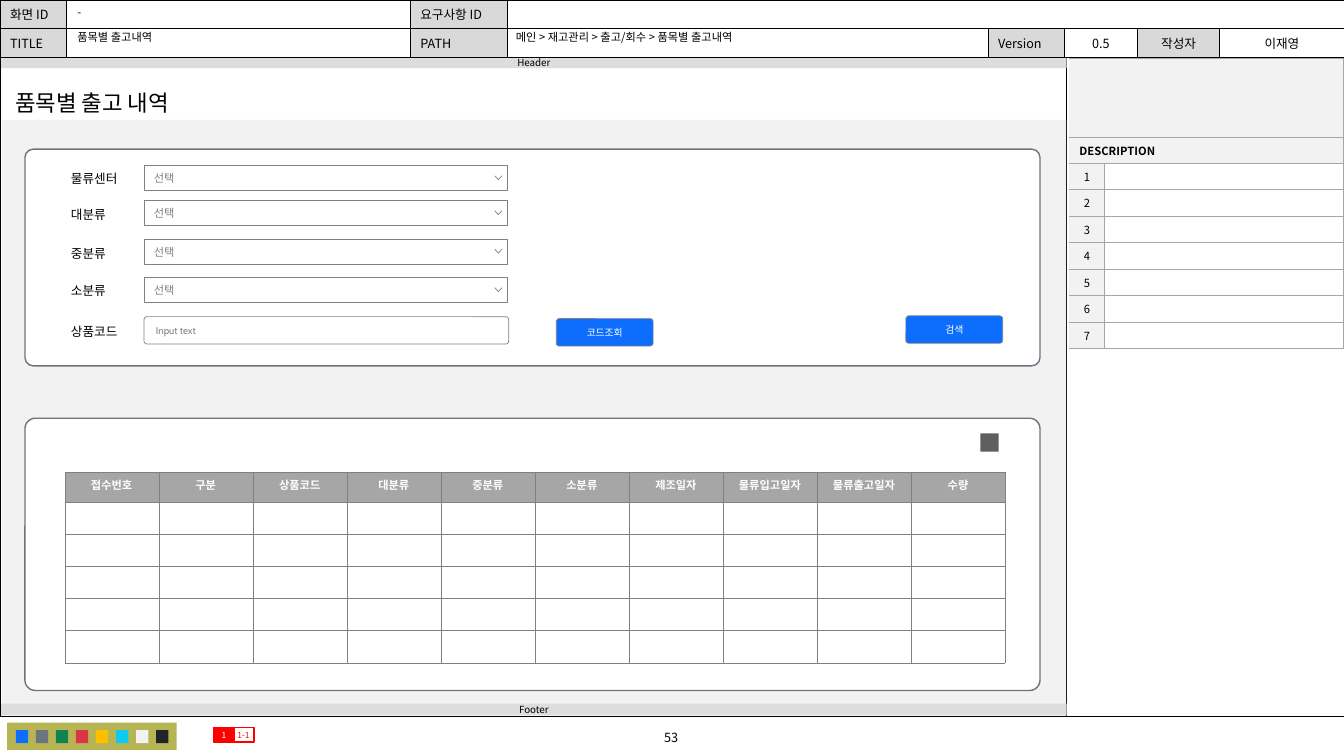
from lxml.etree import SubElement
from pptx import Presentation
from pptx.dml.color import RGBColor
from pptx.enum.shapes import MSO_CONNECTOR, MSO_SHAPE
from pptx.enum.text import MSO_ANCHOR, MSO_AUTO_SIZE, PP_ALIGN
from pptx.oxml.ns import qn
from pptx.util import Cm, Pt

BLACK = RGBColor(0x00, 0x00, 0x00)
WHITE = RGBColor(0xFF, 0xFF, 0xFF)
RED = RGBColor(0xFF, 0x00, 0x00)
BLUE = RGBColor(0x0D, 0x6E, 0xFD)
SLATE = RGBColor(0x6C, 0x75, 0x7D)
GREEN = RGBColor(0x10, 0x83, 0x4E)
CRIMSON = RGBColor(0xDC, 0x35, 0x45)
AMBER = RGBColor(0xFF, 0xBE, 0x00)
CYAN = RGBColor(0x0D, 0xCA, 0xF0)
INK = RGBColor(0x21, 0x25, 0x29)
OLIVE = RGBColor(0xB7, 0xB5, 0x53)
PANEL = RGBColor(0xF2, 0xF2, 0xF2)
BAR = RGBColor(0xDD, 0xDD, 0xDD)
LABEL = RGBColor(0xD9, 0xD9, 0xD9)
RULE = RGBColor(0xA6, 0xA6, 0xA6)
GRAY = RGBColor(0x80, 0x80, 0x80)
ICON = RGBColor(0x5F, 0x5F, 0x5F)

KOREAN = "Noto Sans CJK KR"
RECT, ROUND = MSO_SHAPE.RECTANGLE, MSO_SHAPE.ROUNDED_RECTANGLE


def write_text(frame, text, size=9, color=BLACK, font=KOREAN, bold=False, align=PP_ALIGN.LEFT,
               spacing=None, wrap=True, margins=(0.25, 0.13)):
    """Fill a text frame with one paragraph; margins are (sides, top and bottom) in cm."""
    frame.word_wrap = wrap
    frame.auto_size = MSO_AUTO_SIZE.NONE
    frame.vertical_anchor = MSO_ANCHOR.MIDDLE
    frame.margin_left = frame.margin_right = Cm(margins[0])
    frame.margin_top = frame.margin_bottom = Cm(margins[1])
    paragraph = frame.paragraphs[0]
    paragraph.alignment = align
    paragraph.line_spacing = spacing
    run = paragraph.add_run()
    run.text = text
    run.font.size, run.font.bold, run.font.name = Pt(size), bold, font
    run.font.color.rgb = color
    SubElement(run.font._element, qn("a:ea"), typeface=KOREAN)


def style_cell(cell, text, fill, line, width, sides="LRTB", **text_format):
    """Draw the named borders of a cell, then its fill and text."""
    properties = cell._tc.get_or_add_tcPr()
    for side in "LRTB":
        border = SubElement(properties, qn(f"a:ln{side}"), w=str(Pt(width)))
        if side in sides:
            solid = SubElement(border, qn("a:solidFill"))
            SubElement(solid, qn("a:srgbClr"), val=str(line))
        else:
            SubElement(border, qn("a:noFill"))
    cell.fill.solid()
    cell.fill.fore_color.rgb = fill
    if text:
        write_text(cell.text_frame, text, **text_format)
    else:
        cell.margin_top = cell.margin_bottom = 0
        SubElement(cell.text_frame.paragraphs[0]._p, qn("a:endParaRPr"), sz="800")


presentation = Presentation()
presentation.slide_width, presentation.slide_height = Cm(33.87), Cm(19.05)
slide = presentation.slides.add_slide(presentation.slide_layouts[5])

# Tables: left, top, column widths, row heights
grids = [
    (0, 0, [1.68, 8.66, 2.44, 12.12, 1.93, 1.83, 2.08, 3.13], [0.71] * 2),
    (26.95, 1.47, [0.89, 6.02], [1.98, 0.66] + [0.65] * 7),
]
stock_grid = (1.63, 11.89, [2.37] * 10, [0.76] + [0.81] * 5)


# Divider between the screen and its description
divider = slide.shapes.add_connector(MSO_CONNECTOR.STRAIGHT, Cm(26.87), Cm(1.42), Cm(26.87), Cm(18.06))
divider.line.color.rgb, divider.line.width = BLACK, Pt(0.5)
SubElement(divider.element.spPr, qn("a:effectLst"))

# Boxes: shape, corner, left, top, width, height, fill, line, line width, text, format
centered = dict(align=PP_ALIGN.CENTER, margins=(0, 0))
bar_format = dict(size=7, **centered)
button_format = dict(size=7, color=WHITE, font="Cabin", align=PP_ALIGN.CENTER)
boxes = [
    (RECT, 0, 0, 1.4, 33.87, 16.66, None, BLACK, 0.25, "", {}),
    (RECT, 0, 0.18, 18.21, 4.27, 0.69, OLIVE, None, 0, "", {}),
    (RECT, 0, 0.05, 3.02, 26.82, 15.01, PANEL, None, 0, "", {}),
    (RECT, 0, 0.03, 17.73, 26.85, 0.3, BAR, None, 0, "Footer", bar_format),
    (RECT, 0, 0.03, 1.42, 26.85, 0.3, BAR, None, 0, "Header", bar_format),
    (ROUND, 0.038, 0.63, 10.54, 25.58, 6.86, WHITE, SLATE, 1, "", {}),
    (ROUND, 0.038, 0.63, 3.76, 25.58, 5.46, WHITE, SLATE, 1, "", {}),
    (RECT, 0, 5.87, 18.34, 0.53, 0.36, None, RED, 1, "1-1", dict(size=6, color=RED, **centered)),
    (RECT, 0, 5.38, 18.34, 0.53, 0.36, RED, RED, 1, "1", dict(size=6, color=WHITE, **centered)),
    (ROUND, 0.108, 3.63, 7.98, 9.19, 0.69, WHITE, GRAY, 0.5, "Input text",
     dict(size=7, color=GRAY, font="Cabin", margins=(0.28, 0.13))),
    (ROUND, 0.108, 14.02, 8.03, 2.44, 0.69, BLUE, GRAY, 0.5, "코드조회", button_format),
    (ROUND, 0.108, 22.83, 7.96, 2.44, 0.69, BLUE, GRAY, 0.5, "검색", button_format),
    (RECT, 0, 24.71, 10.92, 0.46, 0.46, ICON, None, 0, "", {}),
]
for index, swatch in enumerate([BLUE, SLATE, GREEN, CRIMSON, AMBER, CYAN, PANEL, INK]):
    boxes.append((RECT, 0, 0.4 + 0.505 * index, 18.4, 0.31, 0.33, swatch, None, 0, "", {}))
dropdown_tops = [4.17, 5.05, 6.02, 6.99]
for top in dropdown_tops:
    boxes.append((RECT, 0, 3.63, top, 9.17, 0.64, WHITE, GRAY, 0.5, "선택",
                  dict(size=8, color=GRAY, font="Cabin")))

for kind, corner, left, top, width, height, fill, line, line_width, text, text_format in boxes:
    box = slide.shapes.add_shape(kind, Cm(left), Cm(top), Cm(width), Cm(height))
    box.shadow.inherit = False
    if corner:
        box.adjustments[0] = corner
    if fill is None:
        box.fill.background()
    else:
        box.fill.solid()
        box.fill.fore_color.rgb = fill
    if line is None:
        box.line.fill.background()
    else:
        box.line.color.rgb, box.line.width = line, Pt(line_width)
    if text:
        write_text(box.text_frame, text, **text_format)

for top in dropdown_tops:
    builder = slide.shapes.build_freeform(Cm(12.65), Cm(top + 0.26))
    builder.add_line_segments([(Cm(12.56), Cm(top + 0.36)), (Cm(12.47), Cm(top + 0.26))], close=False)
    chevron = builder.convert_to_shape()
    chevron.shadow.inherit = False
    chevron.fill.solid()
    chevron.fill.fore_color.rgb = WHITE
    chevron.line.color.rgb, chevron.line.width = GRAY, Pt(0.5)

tables = []
for left, top, widths, heights in grids + [stock_grid]:
    table = slide.shapes.add_table(len(heights), len(widths), Cm(left), Cm(top),
                                   Cm(sum(widths)), Cm(sum(heights))).table
    table.first_row = table.horz_banding = False
    for column, width in zip(table.columns, widths):
        column.width = Cm(width)
    for row, height in zip(table.rows, heights):
        row.height = Cm(height)
    tables.append(table)
header_table, description_table, stock_table = tables

header_rows = [
    ["화면 ID", "", "요구사항 ID", "", "", "", "", ""],
    ["TITLE", "", "PATH", "", "Version", "0.5", "작성자", "이재영"],
]
header_table.cell(0, 3).merge(header_table.cell(0, 7))
for row, texts in enumerate(header_rows):
    for column, text in enumerate(texts):
        shaded = text and column in (0, 2, 4, 6)
        style_cell(header_table.cell(row, column), text, LABEL if shaded else WHITE, BLACK, 0.5,
                   align=PP_ALIGN.CENTER if column > 4 else PP_ALIGN.LEFT)

for row in range(9):
    if row < 2:
        description_table.cell(row, 0).merge(description_table.cell(row, 1))
    number_format = dict(size=8, **centered) if row > 1 else dict(size=8, bold=True)
    number = ["", "DESCRIPTION"][row] if row < 2 else str(row - 1)
    style_cell(description_table.cell(row, 0), number, PANEL, RULE, 0.5, "RTB", **number_format)
    style_cell(description_table.cell(row, 1), "", WHITE, RULE, 0.5)

stock_headings = ["접수번호", "구분", "상품코드", "대분류", "중분류", "소분류",
                  "제조일자", "물류입고일자", "물류출고일자", "수량"]
for column, heading in enumerate(stock_headings):
    style_cell(stock_table.cell(0, column), heading, RULE, GRAY, 0.25, size=8, bold=True,
               color=WHITE, align=PP_ALIGN.CENTER, margins=(0.15, 0.1))
    for row in range(1, 6):
        style_cell(stock_table.cell(row, column), "", WHITE, GRAY, 0.25)

title = slide.shapes.title
title.left, title.top, title.width, title.height = Cm(0.13), Cm(2.11), Cm(4.88), Cm(0.94)
write_text(title.text_frame, "품목별 출고 내역", size=16, wrap=False)

# Free text: left, top, width, height, text, format
header_format = dict(size=8, spacing=0.9)
labels = [
    (12.75, 0.66, 12.04, 0.58, "메인 > 재고관리 > 출고/회수 > 품목별 출고내역", header_format),
    (1.7, 0.03, 8.64, 0.58, "-", header_format),
    (1.7, 0.71, 8.59, 0.51, "품목별 출고내역", header_format),
    (13.64, 18.26, 6.55, 0.64, "53", dict(align=PP_ALIGN.CENTER)),
]
field_names = ["물류센터", "대분류", "중분류", "소분류", "상품코드"]
for top, name in zip([4.17, 5.08, 6.07, 7.01, 8.03], field_names):
    labels.append((1.54, top, 1.91, 0.64, name, {}))
for left, top, width, height, text, text_format in labels:
    label = slide.shapes.add_textbox(Cm(left), Cm(top), Cm(width), Cm(height))
    write_text(label.text_frame, text, **text_format)

presentation.save("out.pptx")
